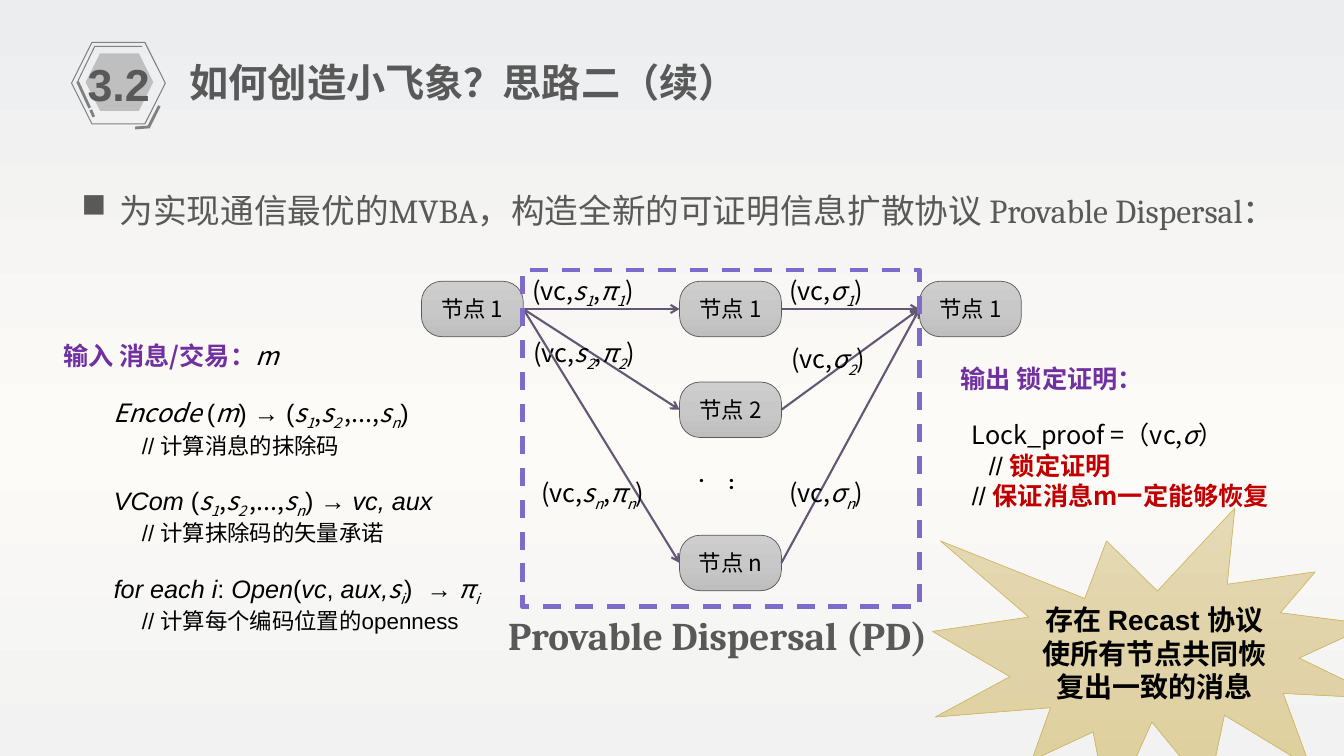
from lxml.etree import SubElement
from pptx import Presentation
from pptx.dml.color import RGBColor
from pptx.enum.dml import MSO_LINE
from pptx.enum.shapes import MSO_CONNECTOR, MSO_SHAPE
from pptx.enum.text import MSO_ANCHOR, MSO_AUTO_SIZE, PP_ALIGN
from pptx.oxml.ns import qn
from pptx.util import Inches, Pt

COLORS = {
    "ink": "000000", "gray": "595959", "hairline": "808080", "hexagon": "BFBFBF",
    "arrow": "645773", "frame": "7E6BC9", "purple": "7030A0", "red": "C00000",
    "gold": "CEB966",
}
PAGE_STOPS = [(0, "ECEDEF"), (58, "FDFBF7"), (100, "F2F2F2")]
NODE_STOPS = [(0, "CECECE"), (50, "C8C8C8"), (100, "BEBEBE")]
BURST_STOPS = [(0, "E6DAB5"), (50, "E0D3A8"), (100, "DFCF98")]

CJK = "Noto Sans CJK SC"
STYLES = {
    "cjk": {"name": CJK},
    "var": {"name": CJK, "italic": True},
    "sub": {"name": CJK, "italic": True},
    "arial": {"name": "Arial"},
    "slant": {"name": "Arial", "italic": True},
    "note": {"name": "Arial", "size": Pt(16)},
    "node": {"name": CJK, "size": Pt(16)},
    "head": {"name": CJK, "bold": True, "color": "purple"},
    "alert": {"name": CJK, "bold": True, "color": "red"},
    "title": {"name": "Arial", "size": Pt(28), "bold": True, "color": "gray"},
    "number": {"name": "Arial", "size": Pt(32), "bold": True, "color": "gray"},
    "lead": {"name": "Cambria", "size": Pt(24), "color": "gray"},
    "caption": {"name": "Cambria", "size": Pt(28), "bold": True, "color": "gray"},
    "burst": {"name": "Arial", "size": Pt(20), "bold": True},
}

# The grid has square cells of a tenth of an inch
CELL = Inches(0.1)
NODE_W, NODE_H = 10.1, 5.5


def grid(*cells):
    return [round(c * CELL) for c in cells]


def rgb(name):
    return RGBColor.from_string(COLORS[name])


def set_gradient(fill, root, stops):
    fill.gradient()
    fill.gradient_angle = 270
    gs_list = root.find(".//" + qn("a:gsLst"))
    for gs in list(gs_list):
        gs_list.remove(gs)
    for pos, color in stops:
        gs = SubElement(gs_list, qn("a:gs"), pos=str(pos * 1000))
        SubElement(gs, qn("a:srgbClr"), val=color)


def add_run(p, text, style):
    r = p.add_run()
    r.text = text
    fmt = {"size": Pt(18), "bold": False, "italic": False, **STYLES[style]}
    r.font.color.rgb = rgb(fmt.pop("color", "ink"))
    for key, value in fmt.items():
        setattr(r.font, key, value)
    rPr = r._r.get_or_add_rPr()
    SubElement(rPr, qn("a:ea"), typeface=CJK)
    if style == "sub":
        rPr.set("baseline", "-25000")


def fill_text(tf, lines, align=PP_ALIGN.LEFT):
    """Each line is (left indent in cells, space before in points, runs)."""
    for i, (indent, before, runs) in enumerate(lines):
        p = tf.paragraphs[0] if i == 0 else tf.add_paragraph()
        p.alignment = align
        if indent:
            p._p.get_or_add_pPr().set("marL", str(round(indent * CELL)))
        if before:
            p.space_before = Pt(before)
        for text, style in runs:
            add_run(p, text, style)


def add_text(s, box, lines, wrap=False):
    sp = s.shapes.add_textbox(*grid(*box))
    tf = sp.text_frame
    tf.word_wrap = wrap
    tf.auto_size = MSO_AUTO_SIZE.SHAPE_TO_FIT_TEXT
    fill_text(tf, lines)
    return sp


def add_shape(s, kind, box, fill=None, line=None, width=0.5):
    sp = s.shapes.add_shape(kind, *grid(*box))
    sp.shadow.inherit = False
    if isinstance(fill, list):
        set_gradient(sp.fill, sp._element, fill)
    elif fill:
        sp.fill.solid()
        sp.fill.fore_color.rgb = rgb(fill)
    else:
        sp.fill.background()
    if line:
        sp.line.color.rgb = rgb(line)
        sp.line.width = Pt(width)
    else:
        sp.line.fill.background()
    return sp


def add_line(s, ends, color, width):
    c = s.shapes.add_connector(MSO_CONNECTOR.STRAIGHT, *grid(*ends))
    c.line.color.rgb = rgb(color)
    c.line.width = Pt(width)
    SubElement(c._element.spPr, qn("a:effectLst"))
    return c


def add_arrow(s, start, end):
    c = add_line(s, (0, 0, 1, 1), "arrow", 1.5)
    c.begin_connect(start, 3)
    c.end_connect(end, 1)
    SubElement(c.line._get_or_add_ln(), qn("a:tailEnd"), type="arrow")


def add_node(s, col, row, name):
    sp = add_shape(s, MSO_SHAPE.ROUNDED_RECTANGLE, (col, row, NODE_W, NODE_H),
                   NODE_STOPS, "gray")
    sp.adjustments[0] = 0.37
    sp.text_frame.vertical_anchor = MSO_ANCHOR.MIDDLE
    fill_text(sp.text_frame, [(0, 0, [(f"节点 {name}", "node")])], PP_ALIGN.CENTER)
    return sp


def indexed(symbol, index):
    return [(symbol, "var"), (index, "sub")]


def shares():
    return [*indexed("s", "1"), (",", "cjk"), *indexed("s", "2 "), (",...,", "cjk"),
            *indexed("s", "n")]


def add_message(s, box, symbols, index):
    runs = [("(vc", "cjk")]
    for symbol in symbols:
        runs += [(",", "cjk"), *indexed(symbol, index)]
    add_text(s, box, [(0, 0, runs + [(")", "cjk")])])


def add_header(s):
    # Hexagon badge with broken outlines
    add_shape(s, MSO_SHAPE.HEXAGON, (7.1, 4.2, 9.3, 8.1), None, "hairline", 0)
    fb = s.shapes.build_freeform(*grid(7.7, 8.1))
    fb.add_line_segments([grid(9.4, 4.6), grid(14.1, 4.6)], close=False)
    edge = fb.convert_to_shape()
    edge.shadow.inherit = False
    edge.fill.background()
    edge.line.color.rgb = rgb("hairline")
    edge.line.width = Pt(0)
    for ends in [(7.7, 8.1, 8.9, 10.7), (9, 10.9, 9.3, 11.6),
                 (13.4, 12.7, 14.7, 12.6), (15.8, 10.5, 14.7, 12.7)]:
        add_line(s, ends, "hairline", 0)
    add_shape(s, MSO_SHAPE.HEXAGON, (8.5, 5.3, 6.7, 5.7), "hexagon")
    add_text(s, (7.7, 5.1, 8.2, 6.4), [(0, 0, [("3.2", "number")])])

    # Title
    title = s.shapes.title
    title.left, title.top, title.width, title.height = grid(17.8, 5.3, 56.4, 5.7)
    tf = title.text_frame
    tf.word_wrap = False
    tf.auto_size = MSO_AUTO_SIZE.SHAPE_TO_FIT_TEXT
    tf.vertical_anchor = MSO_ANCHOR.TOP
    fill_text(tf, [(0, 0, [("如何创造小飞象？思路二（续）", "title")])])

    # Lead sentence
    lead = add_text(s, (7.1, 16.3, 125.6, 11.1), [(3.8, 0, [
        ("为实现通信最优的MVBA，构造全新的可证明信息扩散协议 Provable Dispersal：", "lead")])], True)
    p = lead.text_frame.paragraphs[0]
    pPr = p._p.get_or_add_pPr()
    pPr.set("indent", str(round(-3.8 * CELL)))
    SubElement(pPr, qn("a:buClr")).append(pPr.makeelement(qn("a:srgbClr"), val=COLORS["gray"]))
    SubElement(pPr, qn("a:buChar"), char="■")
    p.line_spacing = 1.5


def add_diagram(s):
    sender = add_node(s, 41.8, 27.9, "1")
    receiver = add_node(s, 91.2, 27.9, "1")
    rows = [("1", 27.9, (51.8, 26.8), (77.3, 26.8)),
            ("2", 37.9, (51.9, 33), (77.5, 33.6)),
            ("n", 53.1, (52.7, 46.9), (77.3, 46.9))]
    for name, row, sent, returned in rows:
        node = add_node(s, 67.4, row, name)
        add_arrow(s, sender, node)
        add_arrow(s, node, receiver)
        add_message(s, (*sent, 14.9, 4), "sπ", name)
        add_message(s, (*returned, 11.6, 4), "σ", name)
    dots = add_text(s, (71.5, 46.3, 3.9, 4), [(0, 0, [("...", "cjk")])])
    dots.rotation = 90
    frame = add_shape(s, MSO_SHAPE.RECTANGLE, (51.8, 26.8, 39.4, 33.4), None, "frame", 3.25)
    frame.line.dash_style = MSO_LINE.DASH
    add_text(s, (49.4, 60.2, 44.9, 5.7), [(0, 0, [("Provable Dispersal (PD)", "caption")])])


def add_steps(s):
    step, note, gap = 5, 7.8, 19
    add_text(s, (5.3, 33.3, 47.5, 31.3), [
        (0, 0, [("输入 消息/交易：", "head"), ("m", "var")]),
        (step, gap, [("Encode ", "var"), ("(", "arial"), ("m", "var"), (") ", "arial"),
                     ("→ ", "slant"), ("(", "arial"), *shares(), (")", "arial")]),
        (note, 0, [("// 计算消息的抹除码", "note")]),
        (step, gap, [("VCom ", "slant"), ("(", "arial"), *shares(), (") ", "arial"),
                     ("→ vc, aux", "slant")]),
        (note, 0, [("// 计算抹除码的矢量承诺", "note")]),
        (step, gap, [("for each i", "slant"), (": ", "arial"), ("Open", "slant"),
                     ("(", "arial"), ("vc", "slant"), (", ", "arial"), ("aux,", "slant"),
                     *indexed("s", "i"), (")  ", "arial"), ("→ ", "slant"),
                     *indexed("π", "i")]),
        (note, 0, [("// 计算每个编码位置的openness", "note")]),
    ])


def add_output(s):
    add_text(s, (94.3, 35.5, 34.5, 16.1), [
        (0, 0, [("输出 锁定证明：", "head")]),
        (1.1, 19, [("Lock_proof =（vc,", "cjk"), ("σ", "var"), ("）", "cjk")]),
        (2.8, 0, [("// ", "arial"), ("锁定证明", "alert")]),
        (1.1, 0, [("// ", "arial"), ("保证消息m一定能够恢复", "alert")]),
    ], True)
    burst = add_shape(s, MSO_SHAPE.EXPLOSION1, (92.5, 50.4, 44.6, 30.7), BURST_STOPS, "gold")
    burst.text_frame.vertical_anchor = MSO_ANCHOR.MIDDLE
    fill_text(burst.text_frame, [
        (0, 0, [("存在 Recast 协议", "burst")]),
        (0, 0, [("使所有节点共同恢复出一致的消息", "burst")]),
    ], PP_ALIGN.CENTER)


def main():
    prs = Presentation()
    prs.slide_width, prs.slide_height = Inches(13.33), Inches(7.5)
    s = prs.slides.add_slide(prs.slide_layouts[5])
    set_gradient(s.background.fill, s._element, PAGE_STOPS)
    add_header(s)
    add_diagram(s)
    add_steps(s)
    add_output(s)
    prs.save("out.pptx")


if __name__ == "__main__":
    main()
